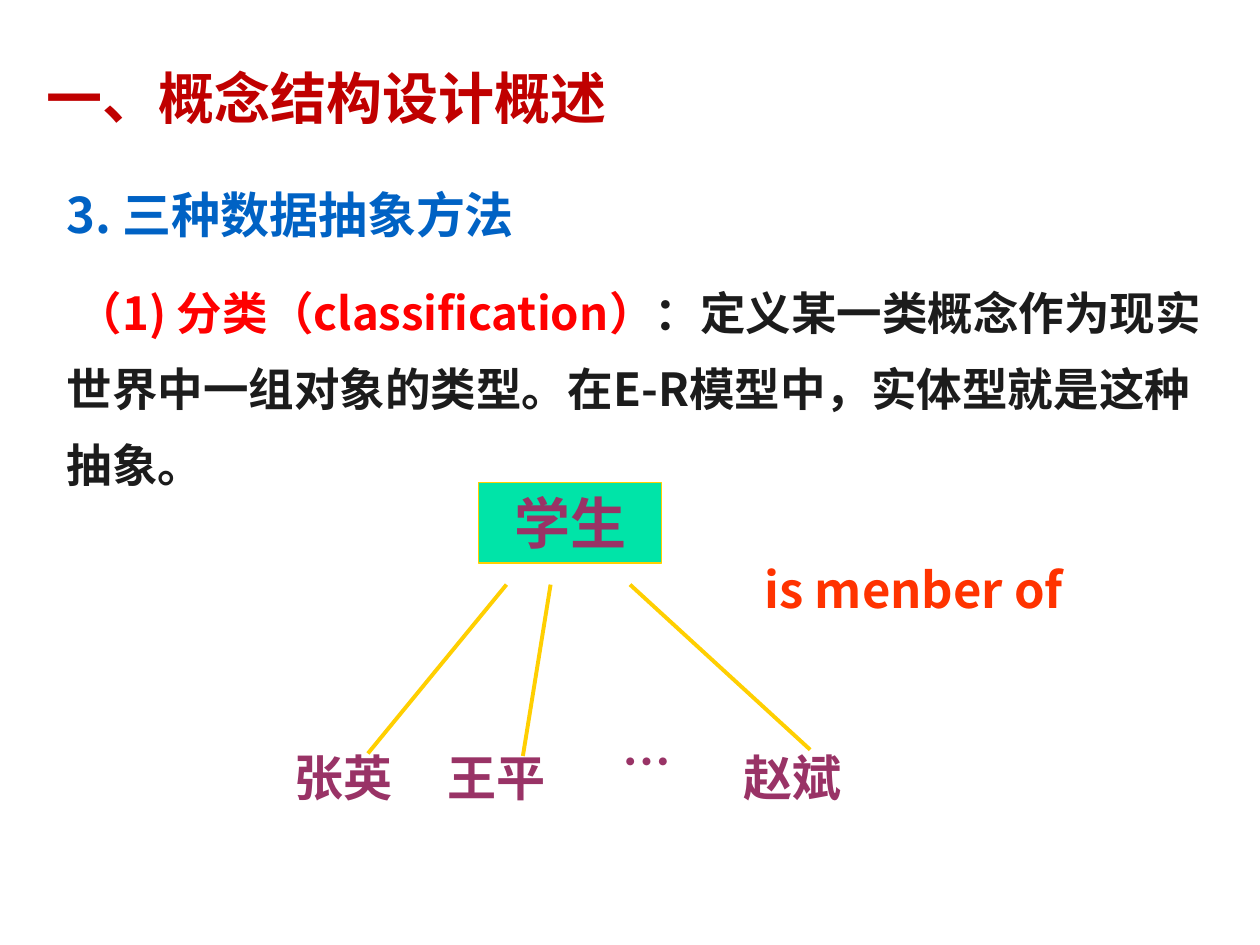
from dataclasses import dataclass

from lxml.etree import SubElement
from pptx import Presentation
from pptx.dml.color import RGBColor
from pptx.enum.shapes import MSO_CONNECTOR, MSO_SHAPE
from pptx.enum.text import MSO_ANCHOR, MSO_AUTO_SIZE, PP_ALIGN
from pptx.oxml.ns import qn
from pptx.util import Inches, Pt


@dataclass(frozen=True)
class Theme:
    font: str = "Noto Sans CJK SC"
    title: str = "C00000"
    head: str = "0062C4"
    ink: str = "1C1C1C"
    term: str = "FF0000"
    node: str = "993366"
    fill: str = "00E4A8"
    line: str = "FFCF01"
    note: str = "FF3300"
    big: int = 32
    mid: int = 28
    body: int = 26


THEME = Theme()


def color(code):
    return RGBColor.from_string(code)


def add_run(para, text, size, code):
    run = para.add_run()
    run.text = text
    font = run.font
    font.name = THEME.font
    font.size = Pt(size)
    font.bold = True
    font.color.rgb = color(code)
    east = SubElement(run._r.get_or_add_rPr(), qn("a:ea"))
    east.set("typeface", THEME.font)


def add_title(slide, text):
    title = slide.shapes.title
    title.left, title.top = Inches(0.27), Inches(0.52)
    title.width, title.height = Inches(8.52), Inches(0.57)
    frame = title.text_frame
    frame.auto_size = MSO_AUTO_SIZE.NONE
    frame.vertical_anchor = MSO_ANCHOR.BOTTOM
    para = frame.paragraphs[0]
    para.alignment = PP_ALIGN.LEFT
    add_run(para, text, THEME.big, THEME.title)


def add_box(slide, left, top, width, height, wrap=False):
    box = slide.shapes.add_textbox(
        Inches(left), Inches(top), Inches(width), Inches(height))
    frame = box.text_frame
    frame.word_wrap = wrap
    frame.auto_size = MSO_AUTO_SIZE.SHAPE_TO_FIT_TEXT
    return frame


def add_body(slide, paras):
    frame = add_box(slide, 0.43, 1.23, 9.21, 2.75, wrap=True)
    for index, runs in enumerate(paras):
        para = frame.add_paragraph() if index else frame.paragraphs[0]
        para.line_spacing = 1.4
        para.space_before = Pt(11 if index else 0)
        for run in runs:
            add_run(para, *run)


def add_label(slide, text, left, top, width, code):
    frame = add_box(slide, left, top, width, 0.57)
    add_run(frame.paragraphs[0], text, THEME.mid, code)


def add_root(slide, text):
    root = slide.shapes.add_shape(
        MSO_SHAPE.RECTANGLE,
        Inches(3.8), Inches(3.83), Inches(1.45), Inches(0.64))
    root.shadow.inherit = False
    root.fill.solid()
    root.fill.fore_color.rgb = color(THEME.fill)
    root.line.color.rgb = color(THEME.line)
    root.line.width = Pt(0.75)
    frame = root.text_frame
    frame.auto_size = MSO_AUTO_SIZE.SHAPE_TO_FIT_TEXT
    frame.vertical_anchor = MSO_ANCHOR.TOP
    para = frame.paragraphs[0]
    para.alignment = PP_ALIGN.CENTER
    add_run(para, text, THEME.big, THEME.node)


def add_branch(slide, start, end, bottom):
    branch = slide.shapes.add_connector(
        MSO_CONNECTOR.STRAIGHT,
        Inches(start), Inches(4.64), Inches(end), Inches(bottom))
    branch.line.color.rgb = color(THEME.line)
    branch.line.width = Pt(2.25)
    SubElement(branch._element.spPr, qn("a:effectLst"))


def main():
    deck = Presentation()
    deck.slide_width, deck.slide_height = Inches(10), Inches(7.5)
    slide = deck.slides.add_slide(deck.slide_layouts[5])

    add_title(slide, "一、概念结构设计概述")
    add_body(slide, [
        [("3. 三种数据抽象方法", THEME.mid, THEME.head)],
        [(" ", THEME.body, THEME.ink),
         ("（1) 分类（classification）", THEME.body, THEME.term),
         ("：定义某一类概念作为现实世界中一组对象的类型。"
          "在E-R模型中，实体型就是这种抽象。", THEME.body, THEME.ink)],
    ])

    add_root(slide, "学生")
    for text, left, top, width in [
        ("张英", 2.24, 5.88, 0.98),
        ("王平", 3.45, 5.88, 0.98),
        ("…", 4.84, 5.76, 0.59),
        ("赵斌", 5.8, 5.88, 1.05),
    ]:
        add_label(slide, text, left, top, width, THEME.node)
    for start, end, bottom in [
        (4.02, 2.92, 5.98), (4.37, 4.15, 6), (5, 6.43, 5.95),
    ]:
        add_branch(slide, start, end, bottom)
    add_label(slide, "is menber of", 5.97, 4.39, 2.68, THEME.note)

    deck.save("out.pptx")


if __name__ == "__main__":
    main()
